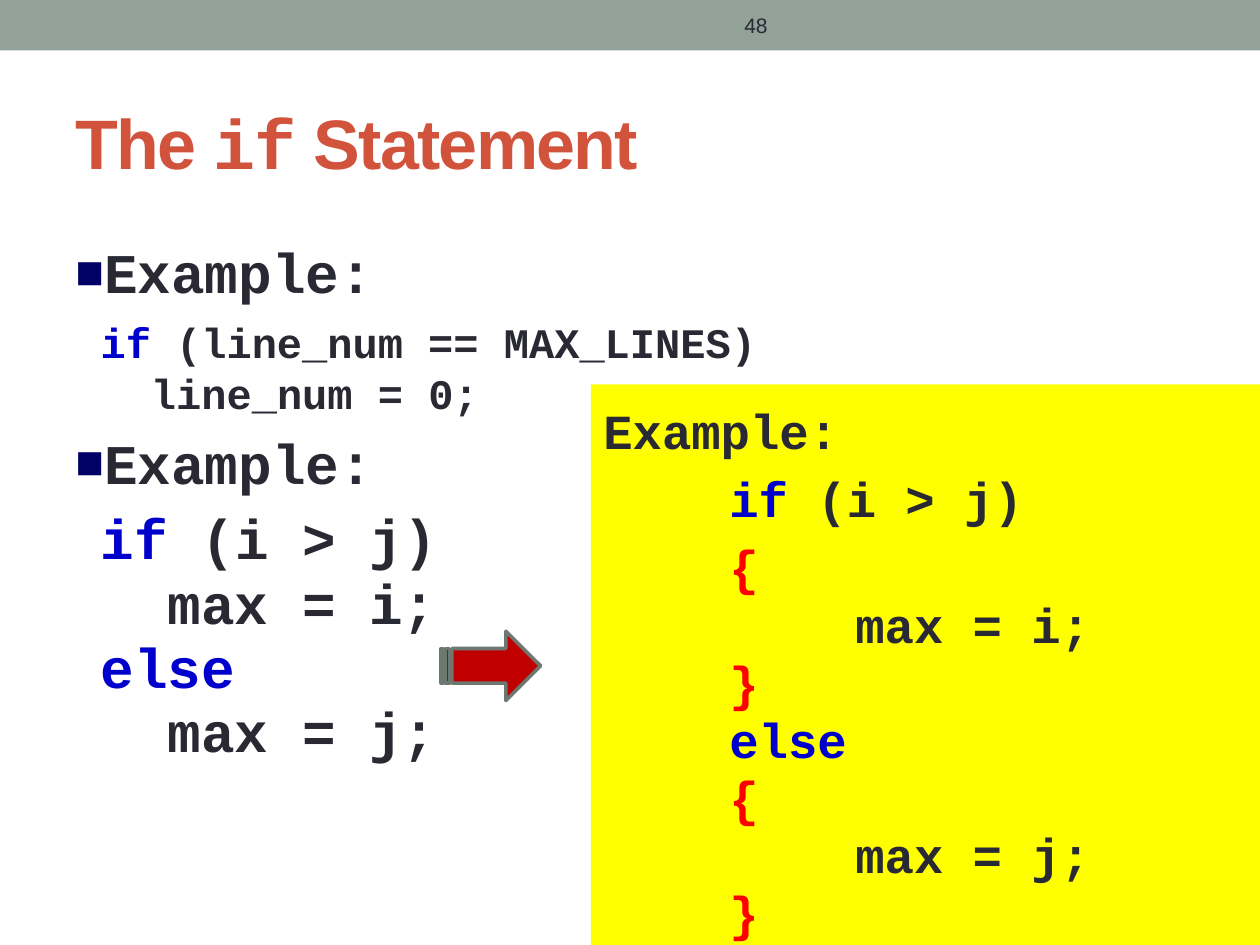
from dataclasses import dataclass

from lxml.etree import SubElement
from pptx import Presentation
from pptx.dml.color import RGBColor as RGB
from pptx.enum.shapes import MSO_SHAPE as SHAPE
from pptx.enum.text import MSO_ANCHOR as ANCHOR, PP_ALIGN as ALIGN
from pptx.oxml.ns import qn
from pptx.util import Pt


@dataclass(frozen=True)
class Theme:
    band: str = "93A299"
    title: str = "D2533C"
    ink: str = "292934"
    keyword: str = "0000CC"
    brace: str = "FF0000"
    bullet: str = "000066"
    panel: str = "FFFF00"
    arrow: str = "C00000"
    arrow_line: str = "6D7871"
    sans: str = "Arial"
    mono: str = "Courier New"
    title_size: int = 40
    lead_size: int = 32
    panel_size: int = 28
    small_size: int = 24
    number_size: int = 12


T = Theme()


def add_block(s, kind, box, fill, line=None, width=0):
    sp = s.shapes.add_shape(kind, *map(Pt, box))
    sp.shadow.inherit = False
    sp.fill.solid()
    sp.fill.fore_color.rgb = RGB.from_string(fill)
    if line:
        sp.line.color.rgb = RGB.from_string(line)
        sp.line.width = Pt(width)
    else:
        sp.line.fill.background()
    return sp


def add_text_frame(s, box, **formats):
    tf = s.shapes.add_textbox(*map(Pt, box)).text_frame
    set_formats(tf, word_wrap=True, **formats)
    return tf


def set_formats(target, **formats):
    for name, value in formats.items():
        setattr(target, name, value)


def add_run(p, text, size, color, font=T.mono, bold=True):
    r = p.add_run()
    r.text = text
    set_formats(r.font, name=font, size=Pt(size), bold=bold)
    r.font.color.rgb = RGB.from_string(color)
    return r


def next_paragraph(tf):
    return tf.add_paragraph() if tf.paragraphs[0].runs else tf.paragraphs[0]


def add_code(tf, indent, before, size, *parts):
    """Add one code line made of (text, colour) parts."""
    p = next_paragraph(tf)
    set_formats(p, alignment=ALIGN.LEFT, line_spacing=0.8, space_before=Pt(before))
    p._p.get_or_add_pPr().set("marL", str(Pt(indent)))
    for text, color in parts:
        add_run(p, text, size, color)


def add_bullet(tf, text, before):
    p = next_paragraph(tf)
    p.space_before = Pt(before)
    pPr = p._p.get_or_add_pPr()
    pPr.set("marL", str(Pt(14.4)))
    pPr.set("indent", str(-Pt(14.4)))
    color = SubElement(pPr, qn("a:buClr"))
    SubElement(color, qn("a:srgbClr"), val=T.bullet)
    SubElement(pPr, qn("a:buSzPct"), val="85000")
    SubElement(pPr, qn("a:buFont"), typeface=T.sans)
    SubElement(pPr, qn("a:buChar"), char="■")
    add_run(p, text, T.lead_size, T.ink)


def add_header(s, x, y, w, h):
    add_block(s, SHAPE.RECTANGLE, (x, y, w, h), T.band)
    tf = add_text_frame(s, (x + 270, y + 1.44, 324, h - 2.88),
                        vertical_anchor=ANCHOR.MIDDLE)
    p = tf.paragraphs[0]
    p.alignment = ALIGN.CENTER
    add_run(p, "48", T.number_size, T.ink, T.sans, False)


def add_title(s, *box):
    p = add_text_frame(s, box, vertical_anchor=ANCHOR.MIDDLE).paragraphs[0]
    for text, font in (("The ", T.sans), ("if", T.mono), (" Statement", T.sans)):
        r = add_run(p, text, T.title_size, T.title, font)
        r.font._element.set("spc", "-100")


def add_examples(s, *box):
    tf = add_text_frame(s, box, margin_top=Pt(10))
    examples = (
        (0, T.small_size, (
            (("if ", T.keyword), ("(line_num == MAX_LINES)", T.ink)),
            (("  line_num = 0;", T.ink),))),
        (6.4, T.lead_size, (
            (("if", T.keyword), (" (i > j)", T.ink)),
            (("  max = i;", T.ink),),
            (("else", T.keyword),),
            (("  max = j;", T.ink),))),
    )
    for before, size, lines in examples:
        add_bullet(tf, "Example:", before)
        for i, parts in enumerate(lines):
            add_code(tf, 14.4, 6 if i else 12, size, *parts)


def add_braces_panel(s, *box):
    tf = add_block(s, SHAPE.RECTANGLE, box, T.panel).text_frame
    set_formats(tf, word_wrap=True, vertical_anchor=ANCHOR.TOP, margin_top=Pt(9.2))
    p = tf.paragraphs[0]
    p.alignment = ALIGN.LEFT
    add_run(p, "Example:", T.panel_size, T.ink)
    opening, closing = ("{", T.brace), ("}", T.brace)
    lines = (
        (1, 12, (("if", T.keyword), (" (i > j)", T.ink))),
        (1, 12, (opening,)),
        (2, 6, (("max = i;", T.ink),)),
        (1, 6, (closing,)),
        (1, 6, (("else", T.keyword),)),
        (1, 6, (opening,)),
        (2, 6, (("max = j;", T.ink),)),
        (1, 6, (closing,)),
    )
    for level, before, parts in lines:
        add_code(tf, 72 * level, before, T.panel_size, *parts)


def main():
    prs = Presentation()
    set_formats(prs, slide_width=Pt(720), slide_height=Pt(540))
    s = prs.slides.add_slide(prs.slide_layouts[6])
    add_header(s, 0, 0, 720, 28.8)
    add_title(s, 36, 41.76, 648, 77.76)
    add_examples(s, 36, 126, 648, 383.76)
    add_braces_panel(s, 337.68, 219.6, 382.32, 320.4)
    add_block(s, SHAPE.STRIPED_RIGHT_ARROW, (252, 360.72, 56.88, 39.6),
              T.arrow, T.arrow_line, 2.08)
    prs.save("out.pptx")


if __name__ == "__main__":
    main()
